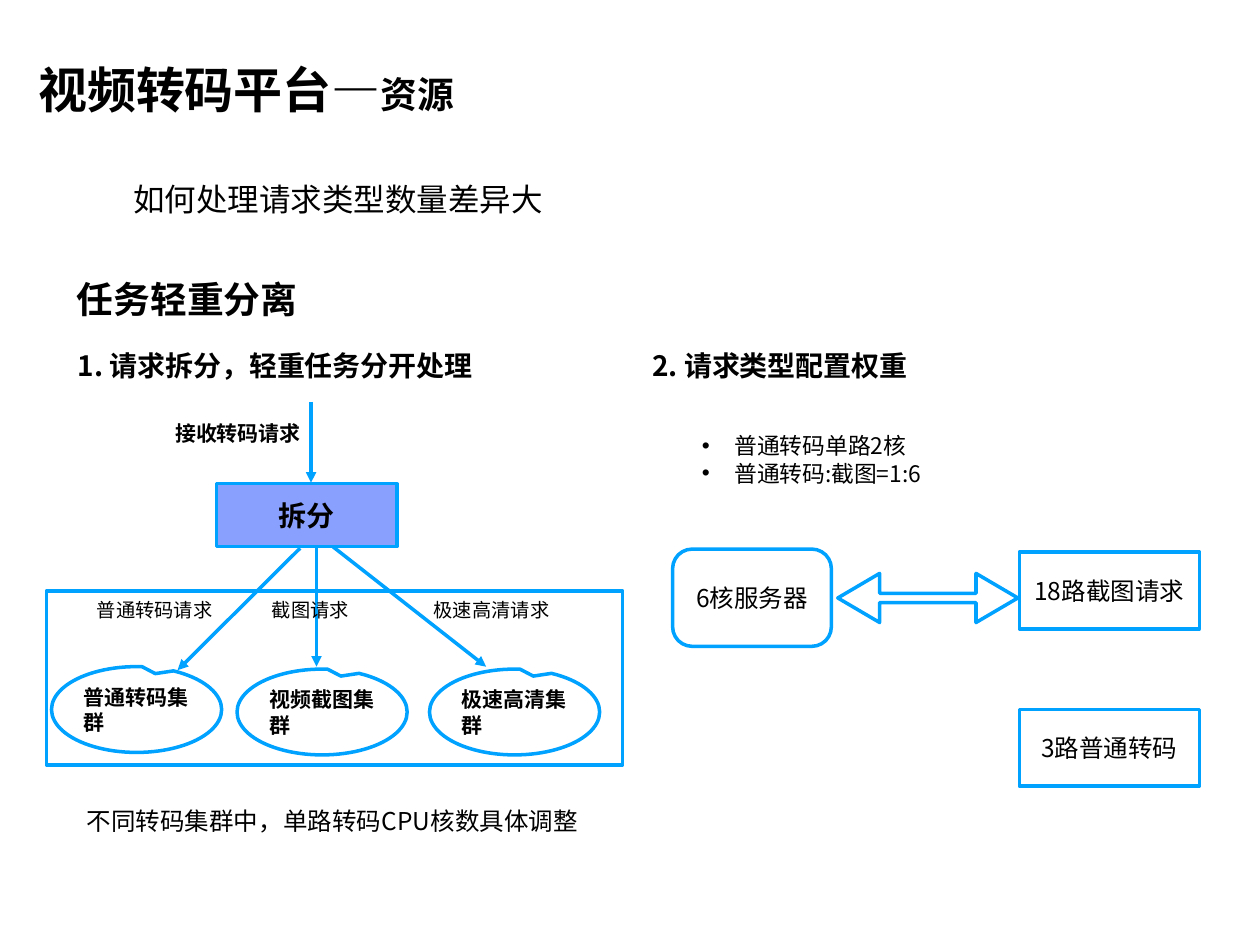
from copy import deepcopy

from lxml import etree
from pptx import Presentation
from pptx.dml.color import RGBColor
from pptx.enum.shapes import MSO_CONNECTOR, MSO_SHAPE
from pptx.enum.text import MSO_ANCHOR, PP_ALIGN
from pptx.oxml.ns import qn
from pptx.util import Cm, Pt

FONT = "Noto Sans CJK SC"
BLACK, BLUE, VIOLET, WHITE = "000000", "00A2FF", "8AA0FF", "FFFFFF"
LEFT, CENTER = PP_ALIGN.LEFT, PP_ALIGN.CENTER
color = RGBColor.from_string


def write(shape, text, size, bold=False, align=LEFT, inset=0.15, anchor=MSO_ANCHOR.MIDDLE):
    frame = shape.text_frame
    frame.text = text
    frame.word_wrap = True
    frame.vertical_anchor = anchor
    frame.margin_left = frame.margin_right = Cm(inset)
    frame.margin_top = frame.margin_bottom = Cm(min(inset, 0.13))
    for paragraph in frame.paragraphs:
        paragraph.alignment = align
        for run in paragraph.runs:
            run.font.size = Pt(size)
            run.font.bold = bold
            run.font.name = FONT
            run.font.color.rgb = color(BLACK)
            east_asian = etree.SubElement(run.font._element, qn("a:ea"))
            east_asian.set("typeface", FONT)


def add_outlined(kind, left, top, width, height, fill=WHITE, adjustments=()):
    shape = slide.shapes.add_shape(kind, Cm(left), Cm(top), Cm(width), Cm(height))
    shape.shadow.inherit = False
    shape.fill.solid()
    shape.fill.fore_color.rgb = color(fill)
    shape.line.color.rgb = color(BLUE)
    shape.line.width = Pt(2)
    for index, value in enumerate(adjustments):
        shape.adjustments[index] = value
    return shape


presentation = Presentation()
presentation.slide_width, presentation.slide_height = Cm(25.4), Cm(19.05)
slide = presentation.slides.add_slide(presentation.slide_layouts[5])

# Title with a smaller second part
title = slide.shapes.title
title.left, title.top, title.width, title.height = Cm(0.64), Cm(0.62), Cm(20.52), Cm(2.34)
write(title, "视频转码平台—", 28, bold=True, inset=0.13)
title_paragraph = title.text_frame.paragraphs[0]
title_paragraph._p.append(deepcopy(title_paragraph.runs[0]._r))
suffix = title_paragraph.runs[1]
suffix.text = "资源"
suffix.font.size = Pt(21)

# Boxes and clusters
split = add_outlined(MSO_SHAPE.RECTANGLE, 4.37, 9.75, 3.63, 1.27, VIOLET)
write(split, "拆分", 16, bold=True, align=CENTER)
add_outlined(MSO_SHAPE.RECTANGLE, 0.94, 11.91, 11.61, 3.51)

for text, left, top in [
    ("普通转码集群", 1.04, 13.44),
    ("视频截图集群", 4.78, 13.49),
    ("极速高清集群", 8.66, 13.49),
]:
    cluster = add_outlined(MSO_SHAPE.OVAL_CALLOUT, left, top, 3.43, 1.73, adjustments=(0.11, -0.419))
    write(cluster, text, 12, bold=True)

server = add_outlined(MSO_SHAPE.ROUNDED_RECTANGLE, 13.56, 11.07, 3.2, 1.96, adjustments=(0.2,))
write(server, "6核服务器", 14, align=CENTER)
add_outlined(MSO_SHAPE.LEFT_RIGHT_ARROW, 16.89, 11.56, 3.63, 0.99, adjustments=(0.186, 0.852))
for text, top in [("18路截图请求", 11.13), ("3路普通转码", 14.3)]:
    request = add_outlined(MSO_SHAPE.RECTANGLE, 20.55, top, 3.63, 1.55)
    write(request, text, 14, align=CENTER)

# Request flow arrows
for x1, y1, x2, y2 in [
    (6.27, 8.1, 6.27, 9.73),
    (6.05, 11.05, 3.58, 13.51),
    (6.38, 11.05, 6.38, 13.44),
    (6.71, 11.02, 9.8, 13.44),
]:
    arrow = slide.shapes.add_connector(MSO_CONNECTOR.STRAIGHT, Cm(x1), Cm(y1), Cm(x2), Cm(y2))
    arrow.line.color.rgb = color(BLUE)
    arrow.line.width = Pt(2)
    etree.SubElement(arrow.line._get_or_add_ln(), qn("a:tailEnd")).set("type", "triangle")
    etree.SubElement(arrow._element.spPr, qn("a:effectLst"))

# Headings and notes
for text, left, top, width, height, size, style in [
    ("如何处理请求类型数量差异大", 2.44, 3.49, 11.13, 1.02, 18, dict(inset=0.25, anchor=MSO_ANCHOR.TOP)),
    ("任务轻重分离", 1.42, 5.44, 14.71, 1.35, 21, dict(bold=True, inset=0.13, anchor=MSO_ANCHOR.TOP)),
    ("1. 请求拆分，轻重任务分开处理", 1.42, 6.88, 9, 0.97, 16, dict(bold=True)),
    ("2. 请求类型配置权重", 13, 6.88, 5.54, 0.97, 16, dict(bold=True)),
    ("接收转码请求", 3.38, 8.33, 3, 0.79, 12, dict(bold=True)),
    ("不同转码集群中，单路转码CPU核数具体调整", 1.6, 16.1, 10.29, 0.89, 14, {}),
]:
    label = slide.shapes.add_textbox(Cm(left), Cm(top), Cm(width), Cm(height))
    write(label, text, size, **style)

# Request labels, centred on their positions
LABEL_WIDTH = 3
for text, center in [("普通转码请求", 3.12), ("截图请求", 6.26), ("极速高清请求", 9.91)]:
    label = slide.shapes.add_textbox(Cm(center - LABEL_WIDTH / 2), Cm(11.91), Cm(LABEL_WIDTH), Cm(0.76))
    write(label, text, 11, align=CENTER)

# Weight rules
rules = slide.shapes.add_textbox(Cm(14), Cm(8.56), Cm(6.45), Cm(1.4))
write(rules, "普通转码单路2核\n普通转码:截图=1:6", 13)
for paragraph in rules.text_frame.paragraphs:
    properties = paragraph._p.get_or_add_pPr()
    properties.set("marL", str(Cm(0.66)))
    properties.set("indent", str(-Cm(0.66)))
    etree.SubElement(properties, qn("a:buFont")).set("typeface", "Arial")
    etree.SubElement(properties, qn("a:buChar")).set("char", "•")

presentation.save("out.pptx")
